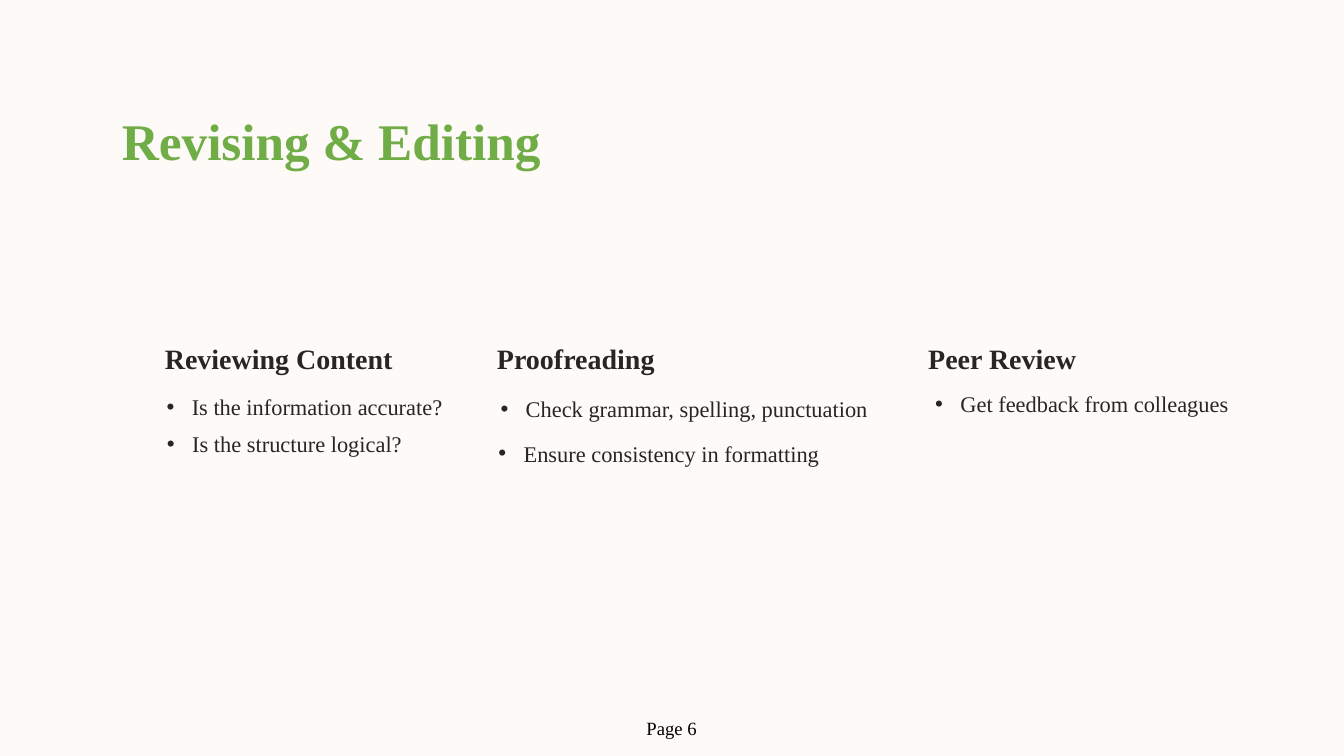
from lxml.etree import SubElement
from pptx import Presentation
from pptx.dml.color import RGBColor
from pptx.enum.text import MSO_ANCHOR as Anchor, MSO_AUTO_SIZE as AutoSize, PP_ALIGN as Align
from pptx.oxml.ns import qn
from pptx.util import Emu, Pt

EMU_PER_PX = 9525
WIDTH, HEIGHT = 1920, 1080
FONT = "Times New Roman"
CREAM = RGBColor(0xFD, 0xFA, 0xF7)
GREEN = RGBColor(0x70, 0xAD, 0x47)
CHARCOAL = RGBColor(0x27, 0x25, 0x25)
BLACK = RGBColor(0, 0, 0)

BULLET_INDENT = 36

# Each column: alignment, heading and its box, bullets and their boxes.
COLUMNS = [
    (Align.RIGHT, "Reviewing Content", (152, 485, 409, 58), [
        ("Is the information accurate?", (136, 553, 496, 56)),
        ("Is the structure logical?", (197, 606, 377, 69)),
    ]),
    (Align.LEFT, "Proofreading", (710, 485, 409, 58), [
        ("Check grammar, spelling, punctuation", (715, 556, 557, 76)),
        ("Ensure consistency in formatting", (712, 619, 512, 56)),
    ]),
    (Align.LEFT, "Peer Review", (1326, 485, 409, 58), [
        ("Get feedback from colleagues", (1336, 548, 512, 56)),
    ]),
]


def px(length):
    return Emu(length * EMU_PER_PX)


def add_backdrop(page):
    """Cover the whole page with a cream panel, behind all text."""
    builder = page.shapes.build_freeform(0, 0, scale=EMU_PER_PX)
    builder.add_line_segments([(WIDTH, 0), (WIDTH, HEIGHT), (0, HEIGHT)], close=True)
    panel = builder.convert_to_shape()
    panel.shadow.inherit = False
    panel.fill.solid()
    panel.fill.fore_color.rgb = CREAM
    panel.line.fill.background()
    # The title placeholder comes first in the tree, so move the panel below it.
    page.shapes.title.element.addprevious(panel.element)


def add_span(para, text, size, color, bold=False):
    span = para.add_run()
    span.text = text
    span.font.name = FONT
    span.font.size = Pt(size)
    span.font.bold = bold
    span.font.color.rgb = color


def prepare_frame(box, align, spacing):
    """Remove the margins of a box and return its formatted first paragraph."""
    frame = box.text_frame
    frame.word_wrap = True
    frame.auto_size = AutoSize.NONE
    frame.vertical_anchor = Anchor.TOP
    frame.margin_left = frame.margin_right = 0
    frame.margin_top = frame.margin_bottom = 0
    para = frame.paragraphs[0]
    para.alignment = align
    para.line_spacing = Pt(spacing)
    para.space_before = Pt(0)
    return para


def set_title(page, text):
    title = page.shapes.title
    title.left, title.top, title.width, title.height = map(px, (174, 143, 819, 119))
    para = prepare_frame(title, Align.LEFT, 76.2)
    add_span(para, text, 55, GREEN, bold=True)


def add_heading(page, text, area, align):
    box = page.shapes.add_textbox(*map(px, area))
    para = prepare_frame(box, align, 38.1)
    add_span(para, text, 30, CHARCOAL, bold=True)


def add_bullet(page, text, area, align):
    box = page.shapes.add_textbox(*map(px, area))
    para = prepare_frame(box, align, 35.6)
    props = para._p.get_or_add_pPr()
    props.set("marL", str(px(BULLET_INDENT)))
    props.set("indent", str(px(-BULLET_INDENT)))
    SubElement(props, qn("a:buFont"), typeface="Arial")
    SubElement(props, qn("a:buChar"), char="•")
    add_span(para, text, 24, CHARCOAL)


def add_page_number(page, text):
    box = page.shapes.add_textbox(*map(px, (914, 1019, 92, 42)))
    box.text_frame.word_wrap = False
    box.text_frame.auto_size = AutoSize.SHAPE_TO_FIT_TEXT
    add_span(box.text_frame.paragraphs[0], text, 20, BLACK)


def main():
    deck = Presentation()
    deck.slide_width, deck.slide_height = px(WIDTH), px(HEIGHT)
    page = deck.slides.add_slide(deck.slide_layouts[5])

    add_backdrop(page)
    set_title(page, "Revising & Editing")
    for align, heading, heading_area, bullets in COLUMNS:
        add_heading(page, heading, heading_area, align)
        for text, area in bullets:
            add_bullet(page, text, area, align)
    add_page_number(page, "Page 6")

    deck.save("out.pptx")


if __name__ == "__main__":
    main()
